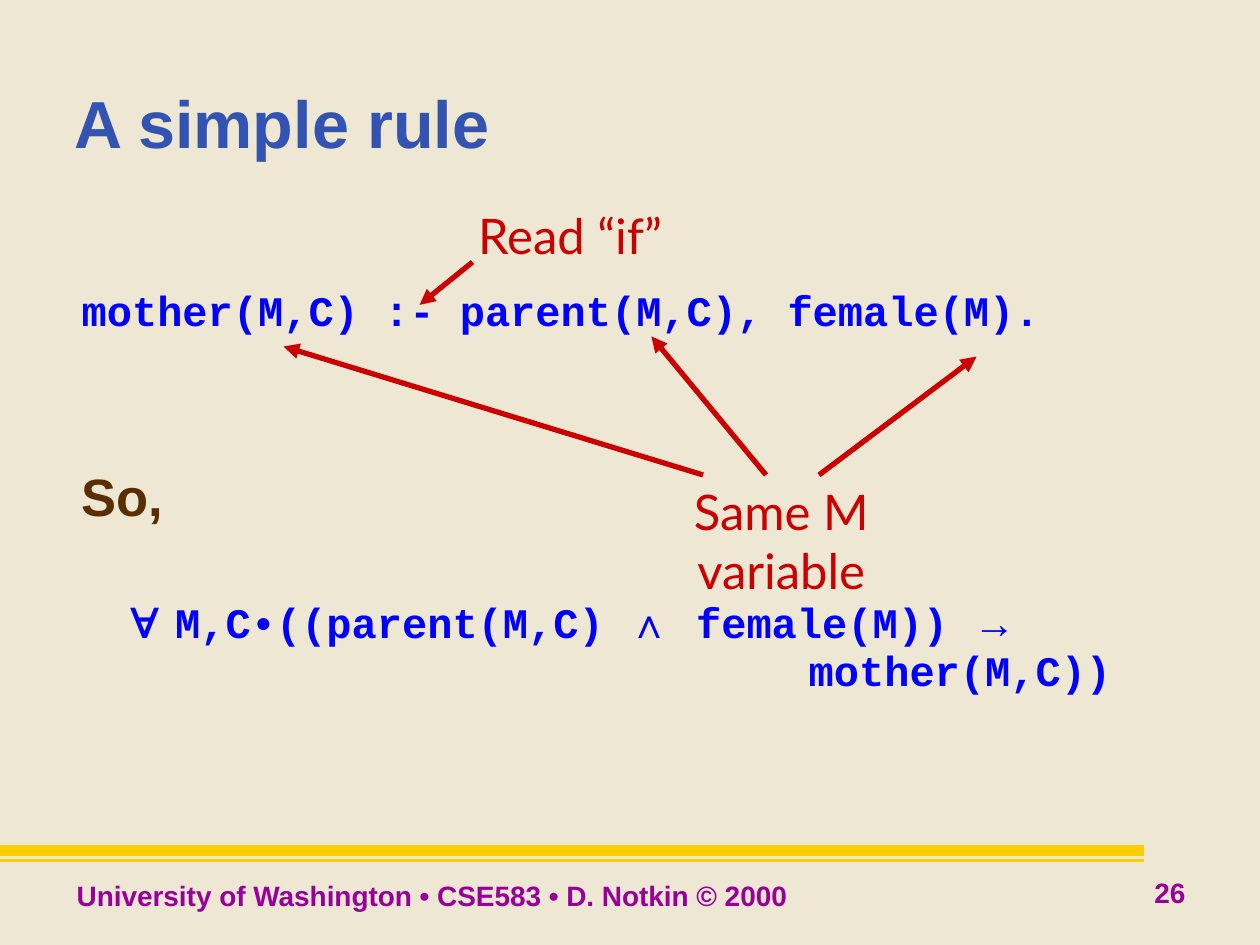
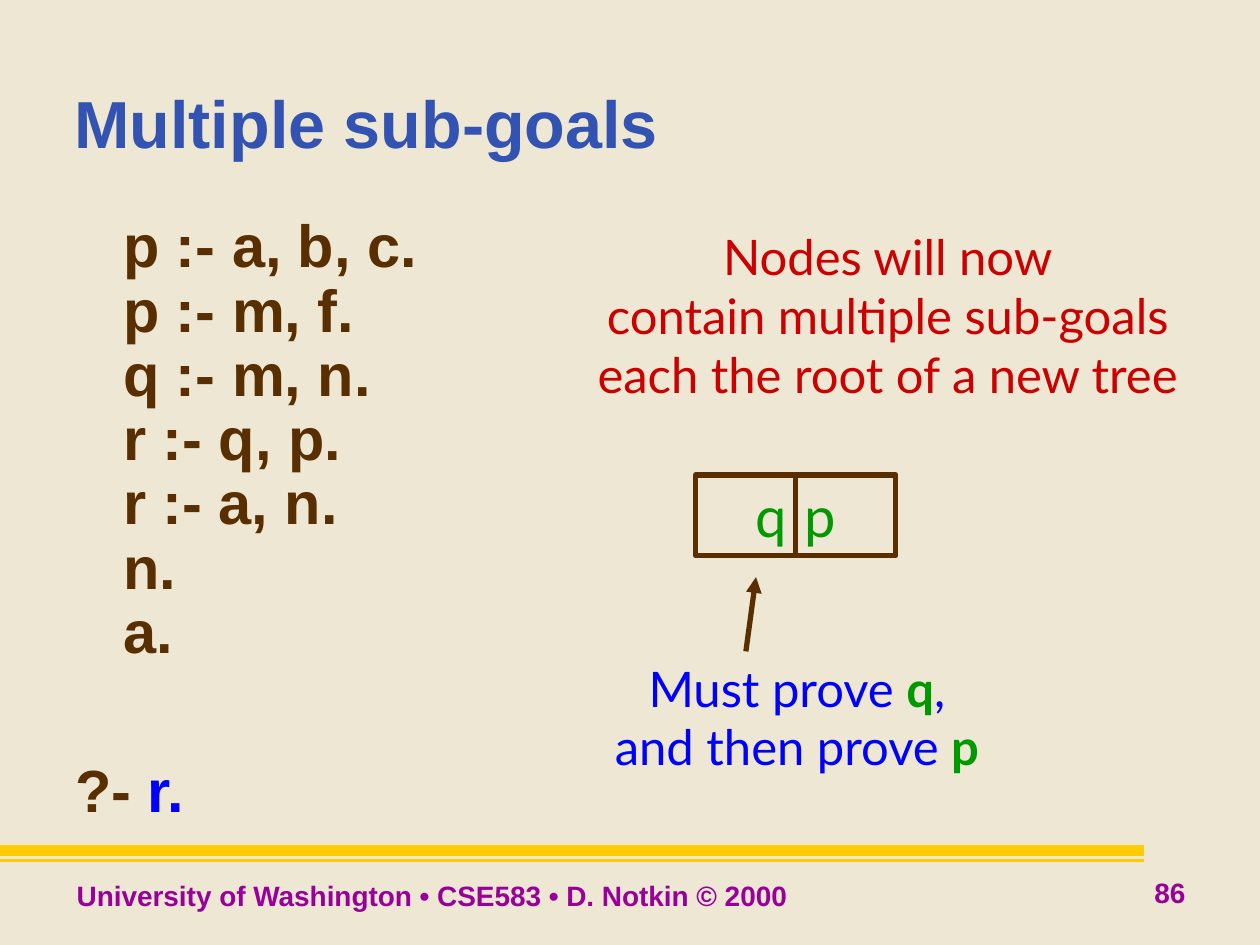
from pptx import Presentation
from pptx.dml.color import RGBColor
from pptx.enum import shapes, text
from pptx.oxml import ns
from pptx.util import Inches, Pt
from lxml import etree

SAND = RGBColor(0xEE, 0xE7, 0xD3)
GOLD = RGBColor(0xFF, 0xCC, 0x00)
PURPLE = RGBColor(0x99, 0x00, 0x99)
SLATE = RGBColor(0x32, 0x53, 0xB2)
BROWN = RGBColor(0x59, 0x2F, 0x02)
BLUE = RGBColor(0x00, 0x00, 0xFF)
RED = RGBColor(0xCC, 0x00, 0x00)
GREEN = RGBColor(0x00, 0x99, 0x00)

SANS, MONO, NOTE = "Arial", "Courier New", "Lato"
FOOTER = "University of Washington • CSE583 • D. Notkin © 2000"
CENTER = text.PP_ALIGN.CENTER
MIDDLE = text.MSO_ANCHOR.MIDDLE


def add_run(p, words, size, color, font=SANS, bold=False):
    for i, line in enumerate(words.split("\n")):
        if i:
            p.add_line_break()
        r = p.add_run()
        r.text = line
        r.font.size = Pt(size)
        r.font.name = font
        r.font.bold = bold
        r.font.color.rgb = color


def next_paragraph(tf):
    p = tf.paragraphs[0]
    return tf.add_paragraph() if p.runs else p


def add_box(s, left, top, width, height, wrap=False, anchor=text.MSO_ANCHOR.TOP):
    sp = s.shapes.add_textbox(Inches(left), Inches(top), Inches(width), Inches(height))
    tf = sp.text_frame
    tf.word_wrap = wrap
    tf.vertical_anchor = anchor
    return tf


def add_body_paragraph(tf, before, runs, indent=0.38, first=0):
    p = next_paragraph(tf)
    p.line_spacing = 0.9
    p.space_before = Pt(before)
    pPr = p._p.get_or_add_pPr()
    pPr.set("marL", str(Inches(indent)))
    pPr.set("indent", str(Inches(first)))
    for words, size, color, font in runs:
        add_run(p, words, size, color, font, True)


def add_note(s, left, top, width, height, paragraphs):
    tf = add_box(s, left, top, width, height, anchor=MIDDLE)
    for runs in paragraphs:
        p = next_paragraph(tf)
        p.alignment = CENTER
        for words, color, bold in runs:
            add_run(p, words, 28, color, NOTE, bold)


def add_line(s, start, end, color, width=3, arrow=False):
    c = s.shapes.add_connector(
        shapes.MSO_CONNECTOR.STRAIGHT, *(Inches(v) for v in (*start, *end)))
    c.line.color.rgb = color
    c.line.width = Pt(width)
    if arrow:
        etree.SubElement(c.line._get_or_add_ln(), ns.qn("a:tailEnd"), type="triangle")
    etree.SubElement(c._element.spPr, ns.qn("a:effectLst"))
    return c


def add_slide(prs, title, number):
    s = prs.slides.add_slide(prs.slide_layouts[5])
    add_run(add_box(s, 0.51, 6.92, 5.85, 0.37).paragraphs[0], FOOTER, 16, PURPLE, bold=True)
    for y, width in ((6.75, 6), (6.83, 2)):
        add_line(s, (0, y), (9.08, y), GOLD, width)
    p = add_box(s, 8.75, 6.83, 1.07, 0.5, anchor=MIDDLE).paragraphs[0]
    p.alignment = CENTER
    add_run(p, str(number), 16, PURPLE, bold=True)

    sp = s.shapes.title
    sp.left, sp.top, sp.width, sp.height = (Inches(v) for v in (0.49, 0.34, 8.98, 1.25))
    sp.text_frame.vertical_anchor = MIDDLE
    p = sp.text_frame.paragraphs[0]
    p.alignment = text.PP_ALIGN.LEFT
    add_run(p, title, 38, SLATE, bold=True)
    return s


def build_simple_rule(prs):
    s = add_slide(prs, "A simple rule", 26)
    tf = add_box(s, 0.55, 2.25, 8.94, 3.42, wrap=True)
    add_body_paragraph(
        tf, 6, [("mother(M,C) :- parent(M,C), female(M).", 24, BLUE, MONO)], first=-0.38)
    add_body_paragraph(tf, 78, [("So,", 30, BROWN, SANS)], first=-0.38)
    add_body_paragraph(tf, 37, [
        ("∀ ", 30, BLUE, SANS),
        ("M,C•((parent(M,C) ", 24, BLUE, MONO),
        ("∧", 24, BLUE, SANS),
        (" female(M)) ", 24, BLUE, MONO),
        ("→", 24, BLUE, SANS)])
    add_body_paragraph(tf, 0, [("mother(M,C))", 24, BLUE, MONO)], indent=5.77)

    add_note(s, 3.66, 1.58, 1.73, 0.57, [[("Read “if”", RED, False)]])
    add_note(s, 5.37, 3.77, 1.66, 1.04, [[("Same M\nvariable", RED, False)]])
    for start, end in (
        ((3.75, 2.08), (3.33, 2.42)),
        ((5.58, 3.77), (2.25, 2.75)),
        ((6.08, 3.77), (5.17, 2.67)),
        ((6.5, 3.77), (7.75, 2.83)),
    ):
        add_line(s, start, end, RED, arrow=True)


def add_goal_node(s):
    sp = s.shapes.add_shape(
        shapes.MSO_SHAPE.RECTANGLE, Inches(5.52), Inches(3.77), Inches(1.59), Inches(0.64))
    sp.shadow.inherit = False
    sp.fill.background()
    sp.line.color.rgb = BROWN
    sp.line.width = Pt(3)
    tf = sp.text_frame
    tf.word_wrap = False
    tf.vertical_anchor = MIDDLE
    p = tf.paragraphs[0]
    p.alignment = CENTER
    add_run(p, " q\tp ", 32, GREEN, NOTE)
    divider = add_line(s, (6.32, 3.77), (6.32, 4.41), BROWN)
    divider.begin_connect(sp, 0)
    divider.end_connect(sp, 2)


def build_sub_goals(prs):
    s = add_slide(prs, "Multiple sub-goals", 86)
    tf = add_box(s, 0.5, 1.67, 8.94, 4.96, wrap=True)
    clauses = "p :- a, b, c.\np :- m, f.\nq :- m, n.\nr :- q, p.\nr :- a, n.\nn.\na."
    add_body_paragraph(tf, 8.5, [(clauses, 34, BROWN, SANS)])
    add_body_paragraph(
        tf, 54, [("?- ", 34, BROWN, SANS), ("r.", 34, BLUE, SANS)], first=-0.38)

    add_note(s, 4.48, 1.75, 5.13, 1.5, [
        [(line, RED, False)] for line in (
            "Nodes will now", "contain multiple sub-goals", "each the root of a new tree")])
    add_goal_node(s)
    add_note(s, 4.66, 5.17, 3.33, 1.04, [
        [("Must prove ", BLUE, False), ("q", GREEN, True), (",", BLUE, False)],
        [("and then prove ", BLUE, False), ("p", GREEN, True)]])
    add_line(s, (5.92, 5.17), (6, 4.58), BROWN, arrow=True)


def main():
    prs = Presentation()
    prs.slide_width, prs.slide_height = Inches(10), Inches(7.5)
    fill = prs.slide_master.background.fill
    fill.solid()
    fill.fore_color.rgb = SAND
    build_simple_rule(prs)
    build_sub_goals(prs)
    prs.save("out.pptx")


if __name__ == "__main__":
    main()
